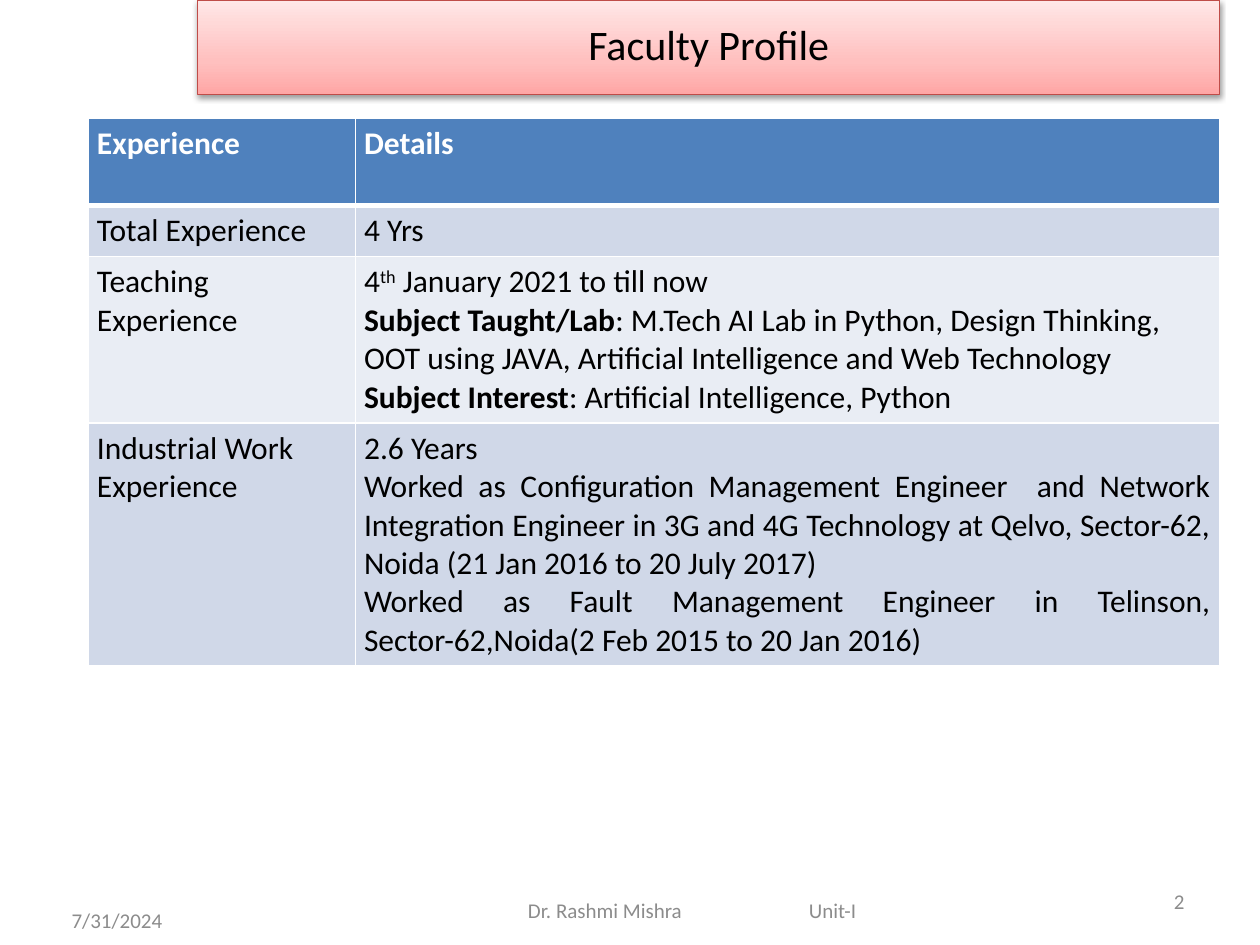
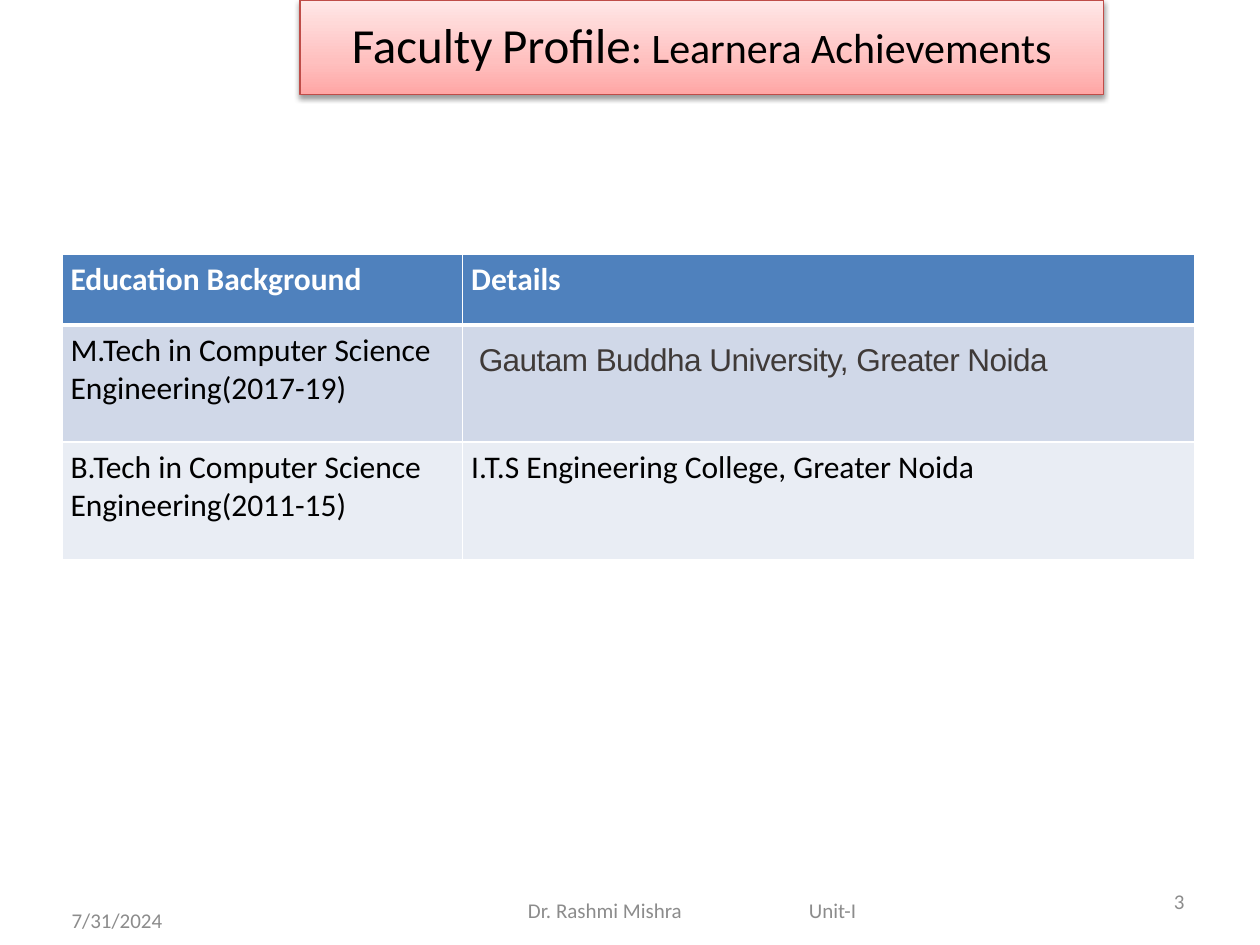
from lxml import etree
from pptx import Presentation
from pptx.dml.color import RGBColor
from pptx.enum.shapes import MSO_SHAPE as SHAPE
from pptx.enum.text import MSO_ANCHOR as ANCHOR, PP_ALIGN as ALIGN
from pptx.oxml.ns import qn
from pptx.util import Inches, Pt

# Shared look
FONT = "Calibri"
BLACK, WHITE, GREY, WARM_GREY = "000000", "FFFFFF", "8C8C8C", "3F3A38"
HEADER, BANDS = "4F81BD", ("D0D8E8", "E9EDF4")
TITLE_LINE = "BF4C48"
TITLE_STOPS = ((0, "FFA6A5"), (35, "FFC0BF"), (100, "FFE7E7"))
TITLE_HEIGHT = 0.75
CELL_MARGINS = dict(margin_left=0.07, margin_top=0.05, margin_right=0.07, margin_bottom=0.05)
DATE = "7/31/2024"
BOLD = {"bold": True}


def rgb(value):
    return RGBColor.from_string(value)


def sub(parent, tag, **attrs):
    return etree.SubElement(parent, qn(tag), {k: str(v) for k, v in attrs.items()})


def para(*runs, **fmt):
    """A paragraph: runs are strings or (string, font values) pairs."""
    return runs, fmt


def set_margins(target, margins):
    for name, value in margins.items():
        setattr(target, name, Inches(value))


def write(tf, paras, size, color, **base):
    for i, (runs, fmt) in enumerate(paras):
        p = tf.paragraphs[0] if i == 0 else tf.add_paragraph()
        for name, value in fmt.items():
            setattr(p, name, value)
        for run in runs:
            text, own = (run, {}) if isinstance(run, str) else run
            values = {"name": FONT, "size": size, "color": color, **base, **own}
            r = p.add_run()
            r.text = text
            r.font.color.rgb = rgb(values.pop("color"))
            r.font.size = Pt(values.pop("size"))
            for key in ("baseline", "spc"):
                if key in values:
                    r._r.get_or_add_rPr().set(key, str(values.pop(key)))
            for name, value in values.items():
                setattr(r.font, name, value)


# Title band hanging from the top edge
def add_title(slide, left, width, *runs):
    sp = slide.shapes.add_shape(SHAPE.RECTANGLE, Inches(left), 0,
                                Inches(width), Inches(TITLE_HEIGHT))
    sp.fill.gradient()
    sp.fill.gradient_angle = 90
    stops = sp._element.spPr.find(".//" + qn("a:gsLst"))
    for stop in list(stops):
        stops.remove(stop)
    for pos, color in TITLE_STOPS:
        sub(sub(stops, "a:gs", pos=pos * 1000), "a:srgbClr", val=color)
    sp.line.color.rgb = rgb(TITLE_LINE)
    sp.line.width = Pt(0.75)
    # Soft shadow below the band
    sp.shadow.inherit = False
    shadow = sub(sp._element.spPr.find(qn("a:effectLst")), "a:outerShdw",
                 blurRad=Pt(3.1), dist=Pt(1.6), dir=5400000, rotWithShape=0)
    sub(sub(shadow, "a:srgbClr", val=BLACK), "a:alpha", val=38000)
    tf = sp.text_frame
    tf.word_wrap = True
    tf.vertical_anchor = ANCHOR.MIDDLE
    write(tf, [para(*runs, alignment=ALIGN.CENTER, line_spacing=0.9)], 24, BLACK)


# Date, author with unit, and slide number
def add_footer(slide, number):
    def label(box, text, align=ALIGN.LEFT, inset=0.1, tab=None):
        tf = slide.shapes.add_textbox(*map(Inches, box)).text_frame
        tf.word_wrap = True
        tf.vertical_anchor = ANCHOR.MIDDLE
        tf.margin_left = Inches(inset)
        if tab:
            tabs = sub(tf.paragraphs[0]._p.get_or_add_pPr(), "a:tabLst")
            sub(tabs, "a:tab", pos=Inches(tab), algn="l")
        write(tf, [para(text, alignment=align)], 12, GREY)

    label((0.47, 7.1, 2.33, 0.4), DATE)
    label((2.75, 6.95, 5.5, 0.55), "Dr. Rashmi Mishra\tUnit-I", inset=1.44, tab=2.23)
    label((7.17, 6.95, 2.33, 0.4), str(number), ALIGN.RIGHT)


# Two-column profile table: white rules, blue header, banded rows
def add_border(cell, is_header):
    tc_pr = cell._tc.get_or_add_tcPr()
    for side in "LRTB":
        width = 3 if (is_header and side == "B") else 1
        ln = sub(tc_pr, "a:ln" + side, w=Pt(width))
        sub(sub(ln, "a:solidFill"), "a:srgbClr", val=WHITE)


def add_profile_table(slide, left, top, widths, heights, rows):
    """Cells are strings or lists of paragraphs."""
    table = slide.shapes.add_table(len(rows), len(widths), Inches(left), Inches(top),
                                   Inches(sum(widths)), Inches(sum(heights))).table
    for col, width in zip(table.columns, widths):
        col.width = Inches(width)
    for row, height in zip(table.rows, heights):
        row.height = Inches(height)
    for i, row in enumerate(rows):
        for j, content in enumerate(row):
            cell = table.cell(i, j)
            set_margins(cell, CELL_MARGINS)
            add_border(cell, i == 0)
            cell.fill.solid()
            cell.fill.fore_color.rgb = rgb(BANDS[(i - 1) % 2] if i else HEADER)
            paras = [para(content)] if isinstance(content, str) else content
            write(cell.text_frame, paras, 18, BLACK if i else WHITE, bold=i == 0)
    return table


def experience_slide(slide):
    add_title(slide, 1.57, 8.11, "Faculty Profile")
    teaching = [
        para("4", ("th", {"baseline": 30000}), " January 2021 to till now"),
        para(("Subject Taught/Lab", BOLD), ": M.Tech AI Lab in Python, Design Thinking, "
             "OOT using JAVA, Artificial Intelligence and Web Technology"),
        para(("Subject Interest", BOLD), ": Artificial Intelligence, Python"),
    ]
    industry = [
        para("2.6 Years"),
        para("Worked as Configuration Management Engineer  and Network Integration Engineer "
             "in 3G and 4G Technology at Qelvo, Sector-62, Noida (21 Jan 2016 to 20 July 2017)",
             alignment=ALIGN.JUSTIFY),
        para("Worked as Fault Management Engineer in Telinson, "
             "Sector-62,Noida(2 Feb 2015 to 20 Jan 2016)", alignment=ALIGN.JUSTIFY),
    ]
    add_profile_table(slide, 0.7, 0.94, (2.12, 6.86), (0.69, 0.4, 1.32, 1.92), [
        ("Experience", "Details"),
        ("Total Experience", "4 Yrs"),
        ("Teaching Experience", teaching),
        ("Industrial Work Experience", industry),
    ])


def education_slide(slide):
    large = {"size": 28}
    add_title(slide, 2.38, 6.38, ("Faculty", large), " ", ("Profile", large),
              ": Learnera Achievements")
    university = [para(("Gautam Buddha University, Greater Noida",
                        {"name": "Arial", "color": WARM_GREY, "spc": -30}), line_spacing=1.5)]
    table = add_profile_table(slide, 0.49, 2.02, (3.18, 5.81), (0.56, 0.93, 0.93), [
        ("Education Background", "Details"),
        ("M.Tech in Computer Science Engineering(2017-19)", university),
        ("B.Tech in Computer Science Engineering(2011-15)",
         "I.T.S Engineering College, Greater Noida"),
    ])
    set_margins(table.cell(1, 1), {**dict.fromkeys(CELL_MARGINS, 0), "margin_left": 0.13})


def main():
    prs = Presentation()
    prs.slide_width, prs.slide_height = Inches(10), Inches(7.5)
    for number, build in enumerate((experience_slide, education_slide), start=2):
        slide = prs.slides.add_slide(prs.slide_layouts[6])
        build(slide)
        add_footer(slide, number)
    prs.save("out.pptx")


if __name__ == "__main__":
    main()
